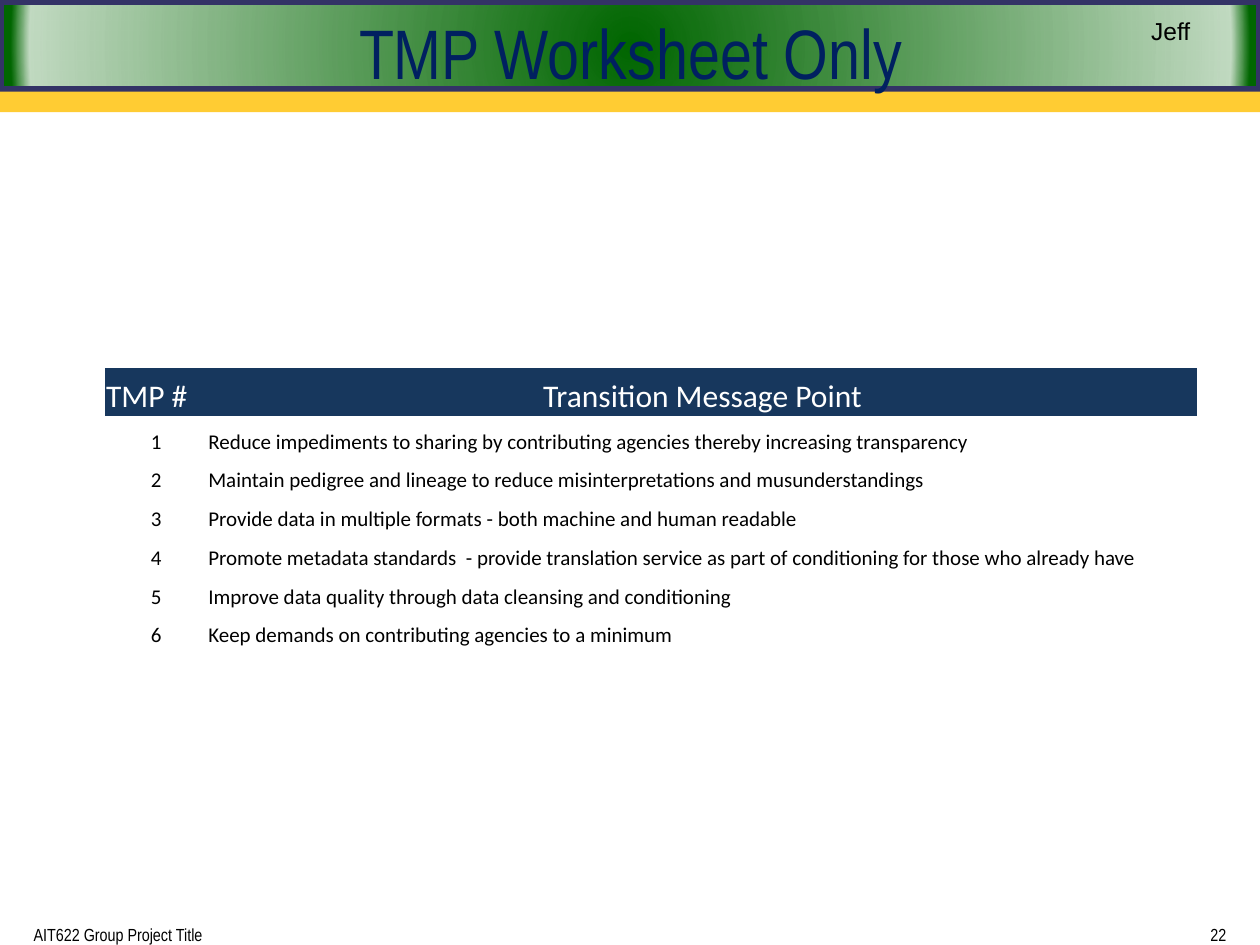
import lxml.etree
import pptx
import pptx.dml.color
import pptx.enum.shapes
import pptx.enum.text
import pptx.oxml.ns
import pptx.util

Cm = pptx.util.Cm
Pt = pptx.util.Pt
ALIGN = pptx.enum.text.PP_ALIGN
ANCHOR = pptx.enum.text.MSO_ANCHOR
SHAPE = pptx.enum.shapes.MSO_SHAPE

SLIDE_WIDTH = 25.4
NO_STYLE_NO_GRID = "{2D5ABB26-0587-4C30-8999-92F81FD0307C}"
MESSAGE_POINTS = [
    "Reduce impediments to sharing by contributing agencies thereby increasing transparency",
    "Maintain pedigree and lineage to reduce misinterpretations and musunderstandings",
    "Provide data in multiple formats - both machine and human readable",
    "Promote metadata standards  - provide translation service as part of conditioning"
    " for those who already have",
    "Improve data quality through data cleansing and conditioning",
    "Keep demands on contributing agencies to a minimum",
]


def color(hex_code):
    return pptx.dml.color.RGBColor.from_string(hex_code)


def write(frame, text, size, font, hex_code, align):
    paragraph = frame.paragraphs[0]
    paragraph.alignment = align
    run = paragraph.add_run()
    run.text = text
    run.font.size = Pt(size)
    run.font.name = font
    run.font.bold = False
    run.font.color.rgb = color(hex_code)


def add_label(slide, box, text, size, font, align, anchor):
    frame = slide.shapes.add_textbox(*map(Cm, box)).text_frame
    frame.word_wrap = True
    frame.vertical_anchor = anchor
    write(frame, text, size, font, "000000", align)


def add_band(slide, kind, top, height, hex_code):
    band = slide.shapes.add_shape(kind, 0, Cm(top), Cm(SLIDE_WIDTH), Cm(height))
    band.shadow.inherit = False
    band.fill.solid()
    band.fill.fore_color.rgb = color(hex_code)
    band.line.fill.background()
    return band


def fill_radial(band, hex_code, stops):
    """Fill from the centre outwards; stops are (position, opacity) in percent."""
    qn = pptx.oxml.ns.qn
    band.fill.gradient()
    gradient = band.element.spPr.find(qn("a:gradFill"))
    for child in list(gradient):
        gradient.remove(child)
    stop_list = lxml.etree.SubElement(gradient, qn("a:gsLst"))
    for position, opacity in stops:
        stop = lxml.etree.SubElement(stop_list, qn("a:gs"), pos=str(position * 1000))
        shade = lxml.etree.SubElement(stop, qn("a:srgbClr"), val=hex_code)
        if opacity < 100:
            lxml.etree.SubElement(shade, qn("a:alpha"), val=str(opacity * 1000))
    radial = lxml.etree.SubElement(gradient, qn("a:path"), path="circle")
    lxml.etree.SubElement(radial, qn("a:fillToRect"), l="50000", t="50000", r="50000", b="50000")


def add_header(slide):
    banner = add_band(slide, SHAPE.RECTANGLE, 0.03, 1.78, "006600")
    fill_radial(banner, "006600", [(0, 100), (95, 24), (98, 100), (100, 100)])
    border = add_band(slide, SHAPE.FRAME, 0.03, 1.78, "333366")
    border.adjustments[0] = 0.023
    border.line.color.rgb = color("333366")
    border.line.width = Pt(2.25)
    add_band(slide, SHAPE.RECTANGLE, 1.85, 0.41, "FFCC33")


def set_title(slide, text):
    title = slide.shapes.title
    title.left, title.top, title.width, title.height = map(Cm, (0.43, 0.15, 24.56, 1.78))
    frame = title.text_frame
    frame.auto_size = pptx.enum.text.MSO_AUTO_SIZE.NONE
    frame.vertical_anchor = ANCHOR.MIDDLE
    write(frame, text, 40, "Arial Narrow", "002060", ALIGN.CENTER)
    slide.shapes.element.append(title.element)  # in front of the header bands


def fill_cell(cell, text, size, hex_code, align, background=None):
    cell.margin_left = cell.margin_right = cell.margin_top = Cm(0.02)
    cell.margin_bottom = 0
    cell.vertical_anchor = ANCHOR.BOTTOM
    if background:
        cell.fill.solid()
        cell.fill.fore_color.rgb = color(background)
    else:
        cell.fill.background()
    write(cell.text_frame, text, size, "Calibri", hex_code, align)


def add_worksheet(slide, points):
    header_height, row_height = 0.98, 0.78
    worksheet = slide.shapes.add_table(
        len(points) + 1, 2, Cm(2.12), Cm(7.41), Cm(22.02),
        Cm(header_height + row_height * len(points))).table
    worksheet.first_row = worksheet.horz_banding = False
    style = pptx.oxml.ns.qn("a:tableStyleId")
    worksheet._tbl.tblPr.find(style).text = NO_STYLE_NO_GRID
    for column, width in zip(worksheet.columns, (2.06, 19.96)):
        column.width = Cm(width)
    for index, row in enumerate(worksheet.rows):
        row.height = Cm(row_height if index else header_height)

    fill_cell(worksheet.cell(0, 0), "TMP #", 18, "FFFFFF", ALIGN.LEFT, "17375D")
    fill_cell(worksheet.cell(0, 1), "Transition Message Point", 18, "FFFFFF",
              ALIGN.CENTER, "17375D")
    for number, point in enumerate(points, start=1):
        fill_cell(worksheet.cell(number, 0), str(number), 12, "000000", ALIGN.CENTER)
        fill_cell(worksheet.cell(number, 1), point, 12, "000000", ALIGN.LEFT)


def main():
    deck = pptx.Presentation()
    deck.slide_width, deck.slide_height = Cm(SLIDE_WIDTH), Cm(19.05)
    slide = deck.slides.add_slide(deck.slide_layouts[5])
    add_label(slide, (0.43, 18.49, 5.51, 0.69), "AIT622 Group Project Title",
              10, "Arial Narrow", ALIGN.LEFT, ANCHOR.BOTTOM)
    add_label(slide, (23.5, 18.49, 1.47, 0.69), "22",
              10, "Arial Narrow", ALIGN.RIGHT, ANCHOR.BOTTOM)
    add_header(slide)
    set_title(slide, "TMP Worksheet Only")
    add_label(slide, (22.23, 0.2, 2.74, 0.84), "Jeff",
              14, "Arial", ALIGN.CENTER, ANCHOR.MIDDLE)
    add_worksheet(slide, MESSAGE_POINTS)
    deck.save("out.pptx")


if __name__ == "__main__":
    main()
